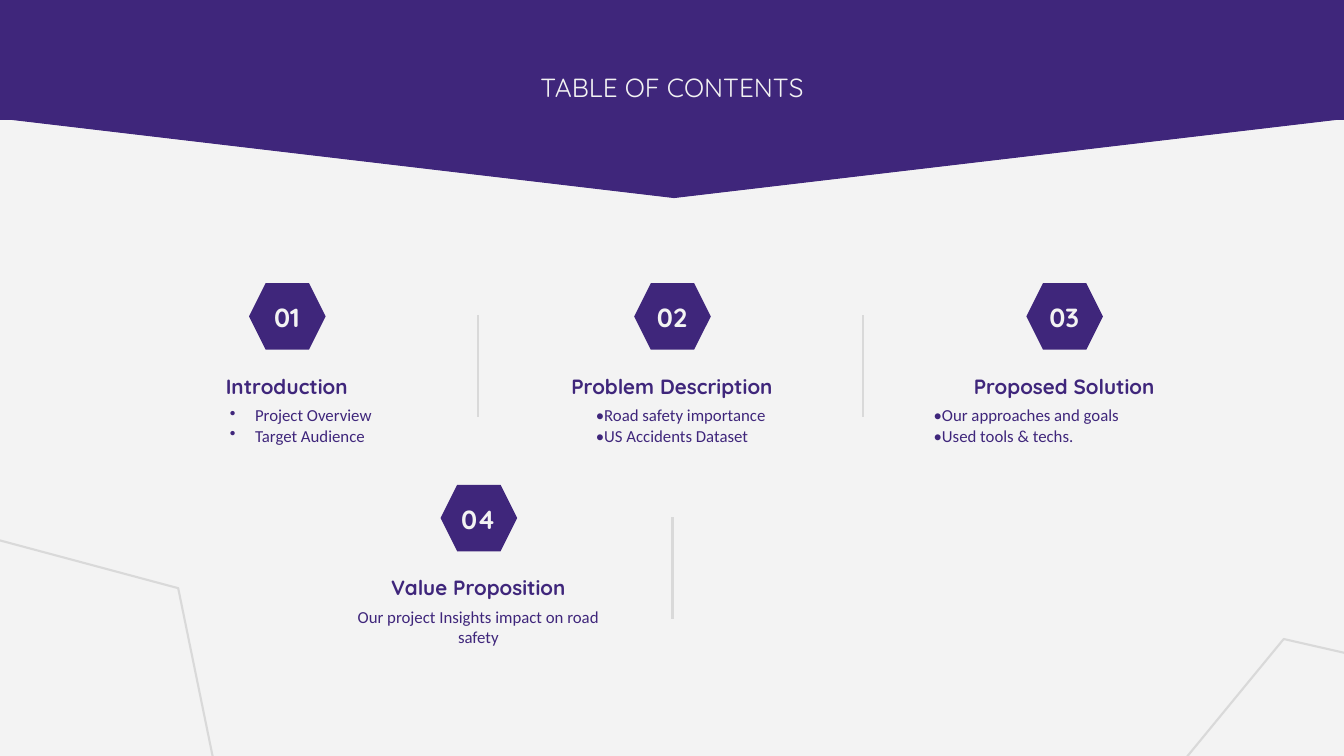
from lxml import etree
from pptx import Presentation
from pptx import util as u
from pptx.dml import color
from pptx.enum import shapes, text
from pptx.oxml import ns

PURPLE, PAPER, GREY = "3F267B", "F3F3F3", "D9D9D9"
SLIDE_W, SLIDE_H = 13.33, 7.5


def rgb(hex_code):
    """Turn a hex string into a colour."""
    return color.RGBColor.from_string(hex_code)


def add_child(parent, tag, **attributes):
    """Append a drawing element to its parent."""
    return etree.SubElement(parent, ns.qn(tag), attributes)


def add_outline(slide, preset, box, fill=None, line=None, width=1.5, rotation=0):
    """Place a preset shape with an optional fill and line."""
    shape = slide.shapes.add_shape(preset, *map(u.Inches, box))
    shape.shadow.inherit = False
    shape.rotation = rotation
    if fill:
        shape.fill.solid()
        shape.fill.fore_color.rgb = rgb(fill)
    else:
        shape.fill.background()
    if line:
        shape.line.color.rgb = rgb(line)
        shape.line.width = u.Pt(width)
    else:
        shape.line.fill.background()


def add_words(slide, box, lines, size=12, font="Calibri", ink=PURPLE, bold=False,
              align=text.PP_ALIGN.CENTER, anchor=text.MSO_ANCHOR.TOP, bullets=False):
    """Place a text box with one paragraph per line."""
    frame = slide.shapes.add_textbox(*map(u.Inches, box)).text_frame
    frame.word_wrap = True
    frame.vertical_anchor = anchor
    frame.margin_left = frame.margin_right = u.Inches(0.13)
    frame.margin_top = frame.margin_bottom = u.Inches(0.13)
    frame.text = "\n".join(lines)
    for paragraph in frame.paragraphs:
        paragraph.alignment = align
        paragraph.font.size = u.Pt(size)
        paragraph.font.name = font
        paragraph.font.bold = bold
        paragraph.font.color.rgb = rgb(ink)
        for run in paragraph.runs:
            run.font.size = u.Pt(size)
            run.font.name = font
            run.font.bold = bold
            run.font.color.rgb = rgb(ink)
        if bullets:
            indent = u.Inches(0.25)
            properties = paragraph._p.get_or_add_pPr()
            properties.set("marL", str(indent))
            properties.set("indent", str(-indent))
            marker = etree.Element(ns.qn("a:buClr"))
            add_child(marker, "a:srgbClr", val=ink)
            properties.insert(0, marker)
            bullet = etree.Element(ns.qn("a:buChar"), char="•")
            properties.insert(1, bullet)


def add_divider(slide, x, top, height=1.01):
    """Draw a vertical rule beside a topic."""
    rule = slide.shapes.add_connector(
        shapes.MSO_CONNECTOR.STRAIGHT, *map(u.Inches, (x, top, x, top + height)))
    rule.line.color.rgb = rgb(GREY)
    rule.line.width = u.Pt(1.5)
    add_child(rule._element.spPr, "a:effectLst")


def add_header(slide, left, top, width, height, title):
    """Draw the pointed banner and its title."""
    band_height = 1.25
    add_outline(slide, shapes.MSO_SHAPE.ISOSCELES_TRIANGLE,
                (left, top + band_height - 0.02, width, height - band_height + 0.02),
                PURPLE, PURPLE, 0.75, 180)
    add_outline(slide, shapes.MSO_SHAPE.RECTANGLE, (left, top, width, band_height), PURPLE)
    add_words(slide, (left + 4.5, top + 0.64, 4.35, 1), [title],
              size=18.7, font="Quicksand", ink=PAPER)


def add_topic(slide, center, top, number, heading, points, points_left, divider=None, **points_format):
    """Place a numbered badge, its heading, points and divider."""
    middle = text.MSO_ANCHOR.MIDDLE
    add_outline(slide, shapes.MSO_SHAPE.HEXAGON, (center - 0.38, top, 0.76, 0.66), PURPLE)
    add_words(slide, (center - 0.55, top + 0.12, 1.09, 0.44), [number], size=18.7,
              font="Quicksand", ink=PAPER, bold=True, anchor=middle)
    add_words(slide, (center - 1.44, top + 0.6, 2.87, 0.84), [heading], size=14.7,
              font="Quicksand", bold=True, anchor=middle)
    add_words(slide, (points_left, top + 1.08, 2.87, 0.83), points, **points_format)
    if divider:
        add_divider(slide, divider, top + 0.32)


def add_corners(slide, width, height):
    """Draw the outlined hexagons in the lower corners."""
    for left, top, rotation in ((-2.08, height - 2.06, 15), (width - 2.27, height - 0.77, 309.4)):
        add_outline(slide, shapes.MSO_SHAPE.HEXAGON, (left, top, 4.3, 3.38),
                    line=GREY, rotation=rotation)


def main():
    """Build the contents slide."""
    deck = Presentation()
    deck.slide_width, deck.slide_height = u.Inches(SLIDE_W), u.Inches(SLIDE_H)
    slide = deck.slides.add_slide(deck.slide_layouts[6])
    slide.background.fill.solid()
    slide.background.fill.fore_color.rgb = rgb(PAPER)

    left_align = text.PP_ALIGN.LEFT
    first_row, second_row = 2.81, 4.81
    add_header(slide, -0.01, -0.06, 13.39, 2.02, "TABLE OF CONTENTS")
    add_topic(slide, 2.85, first_row, "01", "Introduction",
              ["Project Overview", "Target Audience"], 2.15, 4.74,
              align=left_align, bullets=True)
    add_topic(slide, 6.67, first_row, "02", "Problem Description",
              ["•Road safety importance", "•US Accidents Dataset"], 5.78, 8.56,
              align=left_align)
    add_topic(slide, 10.56, first_row, "03", "Proposed Solution",
              ["•Our approaches and goals", "•Used tools & techs."], 9.13,
              align=left_align)
    add_topic(slide, 4.75, second_row, "04", "Value Proposition",
              ["Our project Insights impact on road safety"], 3.31, 6.67)
    add_corners(slide, SLIDE_W, SLIDE_H)
    deck.save("out.pptx")


if __name__ == "__main__":
    main()
